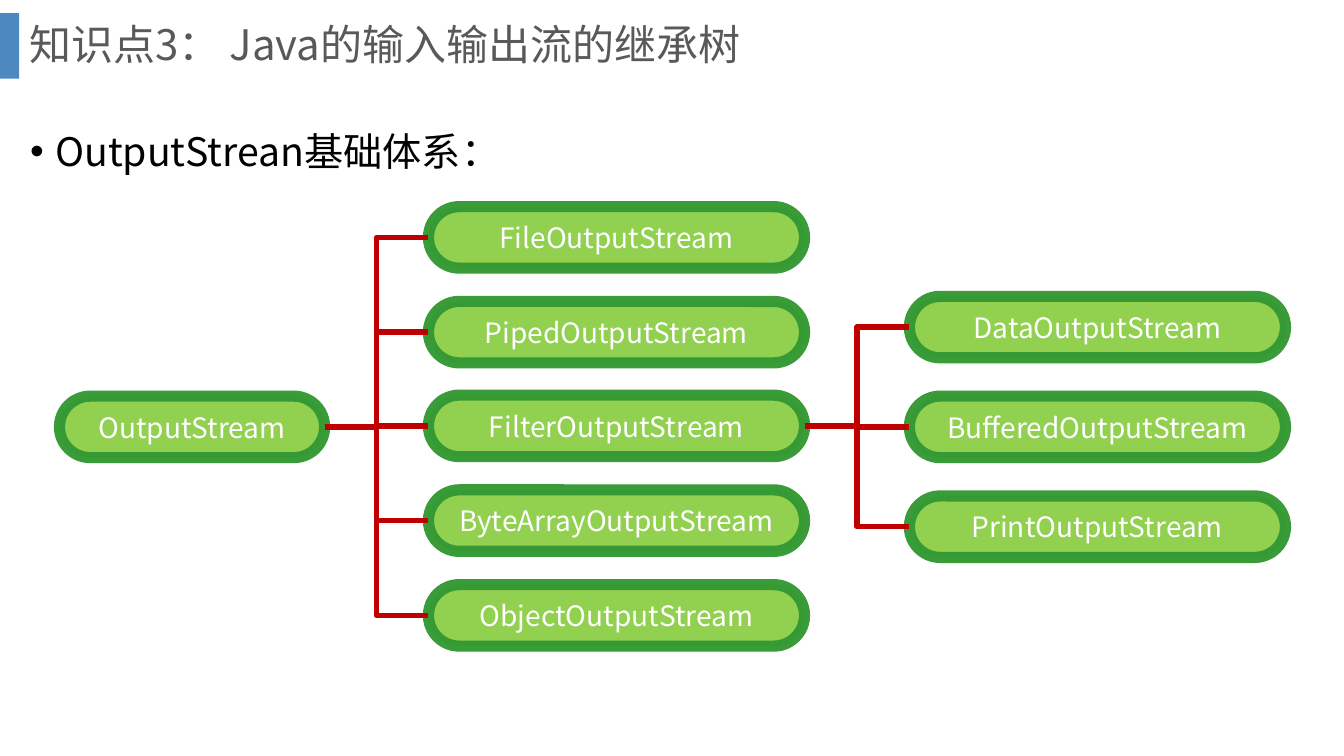
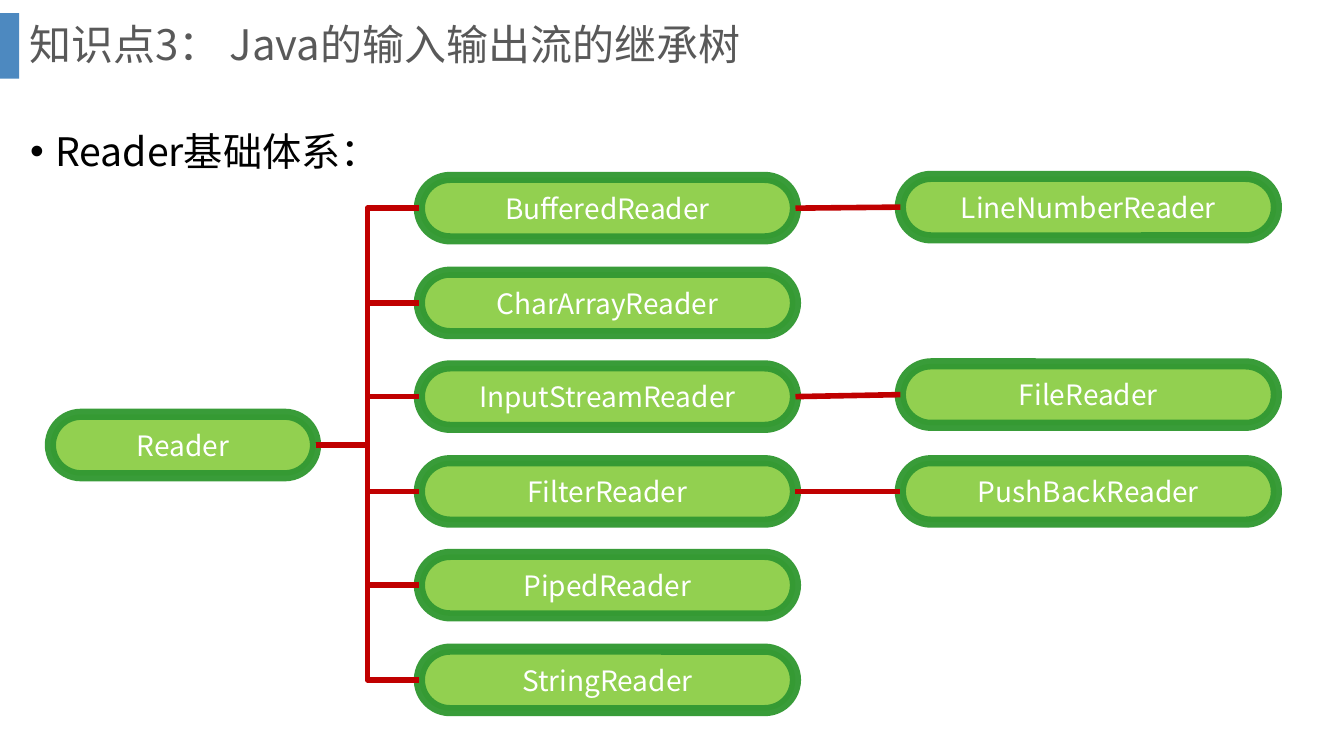
import itertools
from dataclasses import dataclass

import pptx
import pptx.dml.color
import pptx.enum.shapes
import pptx.enum.text
import pptx.oxml
import pptx.oxml.ns
import pptx.presentation
import pptx.shapes.autoshape
import pptx.shapes.connector
import pptx.slide
import pptx.text.text
import pptx.util

RGBColor = pptx.dml.color.RGBColor
ACCENT_BLUE = RGBColor(0x2E, 0x75, 0xB6)
TITLE_GREY = RGBColor(0x59, 0x59, 0x59)
BLACK = RGBColor(0x00, 0x00, 0x00)
WHITE = RGBColor(0xFF, 0xFF, 0xFF)
LIME = RGBColor(0x92, 0xD0, 0x50)
GREEN = RGBColor(0x33, 0x99, 0x33)
RED = RGBColor(0xC0, 0x00, 0x00)

FONT = "Noto Sans CJK SC"
TITLE = "知识点3： Java的输入输出流的继承树"

EMU_PER_PX = 9144  # 100 px to the inch
SLIDE_WIDTH, SLIDE_HEIGHT = 1333, 750

ROOT_LEFT, ROOT_WIDTH = 59, 263
CHILD_LEFT, GRANDCHILD_LEFT, CHILD_WIDTH = 425, 902, 373
BOX_HEIGHT = 61
RIGHT_SIDE, LEFT_SIDE = 3, 1


@dataclass(frozen=True)
class ClassBox:
    name: str
    top: int


@dataclass(frozen=True)
class Branch:
    """The direct subclasses of one class, standing in one column."""
    parent: str
    left: int
    subclasses: list[ClassBox]


@dataclass(frozen=True)
class ClassTree:
    heading: str
    root: ClassBox
    branches: list[Branch]
    shift: int = 0


def spread(first_top: int, last_top: int, *names: str) -> list[ClassBox]:
    """Stack the names at equal steps between two tops."""
    step = (last_top - first_top) / (len(names) - 1)
    return [ClassBox(name, round(first_top + i * step)) for i, name in enumerate(names)]


TREES = [
    ClassTree(
        "OutputStrean基础体系：",
        ClassBox("OutputStream", 393),
        [
            Branch("OutputStream", CHILD_LEFT, spread(
                205, 580, "FileOutputStream", "PipedOutputStream", "FilterOutputStream",
                "ByteArrayOutputStream", "ObjectOutputStream")),
            Branch("FilterOutputStream", GRANDCHILD_LEFT, spread(
                294, 492, "DataOutputStream", "BufferedOutputStream", "PrintOutputStream")),
        ],
    ),
    ClassTree(
        "Reader基础体系：",
        ClassBox("Reader", 411),
        [
            Branch("Reader", CHILD_LEFT, spread(
                176, 644, "BufferedReader", "CharArrayReader", "InputStreamReader",
                "FilterReader", "PipedReader", "StringReader")),
            Branch("BufferedReader", GRANDCHILD_LEFT, [ClassBox("LineNumberReader", 175)]),
            Branch("InputStreamReader", GRANDCHILD_LEFT, [ClassBox("FileReader", 361)]),
            Branch("FilterReader", GRANDCHILD_LEFT, [ClassBox("PushBackReader", 457)]),
        ],
        shift=-9,
    ),
]


def px(length: int) -> pptx.util.Emu:
    return pptx.util.Emu(length * EMU_PER_PX)


def set_opacity(color_parent, percent: int) -> None:
    """Set the opacity of the solid fill directly below an spPr or ln element."""
    (color,) = color_parent.xpath("./a:solidFill/a:srgbClr")
    alpha = pptx.oxml.parse_xml(f'<a:alpha {pptx.oxml.ns.nsdecls("a")} val="{percent * 1000}"/>')
    color.append(alpha)


def add_run(paragraph: pptx.text.text._Paragraph, text: str, size: int, color: RGBColor) -> None:
    run = paragraph.add_run()
    run.text = text
    run.font.size = pptx.util.Pt(size)
    run.font.name = FONT
    run.font.color.rgb = color
    east_asian = pptx.oxml.parse_xml(f'<a:ea {pptx.oxml.ns.nsdecls("a")} typeface="{FONT}"/>')
    run.font._element.append(east_asian)


def add_text_frame(slide: pptx.slide.Slide, left: int, top: int, width: int,
                   height: int) -> pptx.text.text.TextFrame:
    frame = slide.shapes.add_textbox(px(left), px(top), px(width), px(height)).text_frame
    frame.word_wrap = True
    return frame


def add_title_band(slide: pptx.slide.Slide) -> None:
    band = slide.shapes.add_shape(
        pptx.enum.shapes.MSO_SHAPE.RECTANGLE, px(0), px(13), px(19), px(65))
    band.shadow.inherit = False
    band.fill.solid()
    band.fill.fore_color.rgb = ACCENT_BLUE
    band.line.fill.background()
    set_opacity(band._element.spPr, 85)

    title = add_text_frame(slide, 19, 0, 1266, 93)
    title.vertical_anchor = pptx.enum.text.MSO_ANCHOR.MIDDLE
    title.paragraphs[0].line_spacing = 0.9
    add_run(title.paragraphs[0], TITLE, 30, TITLE_GREY)


def add_heading(slide: pptx.slide.Slide, text: str) -> None:
    heading = add_text_frame(slide, 20, 98, 1290, 596).paragraphs[0]
    heading.line_spacing = 1.5
    heading.space_before = pptx.util.Pt(10)
    properties = heading._element.get_or_add_pPr()
    properties.set("marL", str(px(25)))
    properties.set("indent", str(px(-25)))
    for bullet in ('buFont {} typeface="Arial"', 'buChar {} char="•"'):
        properties.append(pptx.oxml.parse_xml(
            f'<a:{bullet.format(pptx.oxml.ns.nsdecls("a"))}/>'))
    add_run(heading, text, 28, BLACK)


def add_class_box(slide: pptx.slide.Slide, box: ClassBox, left: int,
                  width: int) -> pptx.shapes.autoshape.Shape:
    pill = slide.shapes.add_shape(
        pptx.enum.shapes.MSO_SHAPE.ROUNDED_RECTANGLE,
        px(left), px(box.top), px(width), px(BOX_HEIGHT))
    pill.adjustments[0] = 0.5
    pill.shadow.inherit = False
    pill.fill.solid()
    pill.fill.fore_color.rgb = LIME
    pill.line.color.rgb = GREEN
    pill.line.width = pptx.util.Pt(8)
    set_opacity(pill.line._get_or_add_ln(), 96)
    pill.text_frame.vertical_anchor = pptx.enum.text.MSO_ANCHOR.MIDDLE
    label = pill.text_frame.paragraphs[0]
    label.alignment = pptx.enum.text.PP_ALIGN.CENTER
    add_run(label, box.name, 20, WHITE)
    return pill


def join(slide: pptx.slide.Slide, parent: pptx.shapes.autoshape.Shape,
         child: pptx.shapes.autoshape.Shape, kind: pptx.enum.shapes.MSO_CONNECTOR) -> None:
    link = slide.shapes.add_connector(
        kind,
        parent.left + parent.width, parent.top + parent.height // 2,
        child.left, child.top + child.height // 2)
    link.begin_connect(parent, RIGHT_SIDE)
    link.end_connect(child, LEFT_SIDE)
    link.line.color.rgb = RED
    link.line.width = pptx.util.Pt(4)
    link._element.spPr.append(
        pptx.oxml.parse_xml(f'<a:effectLst {pptx.oxml.ns.nsdecls("a")}/>'))


def add_tree(slide: pptx.slide.Slide, tree: ClassTree) -> None:
    pills = {tree.root.name: add_class_box(
        slide, tree.root, ROOT_LEFT + tree.shift, ROOT_WIDTH)}
    for branch in tree.branches:
        for box in branch.subclasses:
            pills[box.name] = add_class_box(
                slide, box, branch.left + tree.shift, CHILD_WIDTH)

    connectors = pptx.enum.shapes.MSO_CONNECTOR
    for branch in tree.branches:
        kind = connectors.ELBOW if len(branch.subclasses) > 1 else connectors.STRAIGHT
        for parent, box in itertools.product([branch.parent], branch.subclasses):
            join(slide, pills[parent], pills[box.name], kind)


def main() -> None:
    deck = pptx.Presentation()
    deck.slide_width, deck.slide_height = px(SLIDE_WIDTH), px(SLIDE_HEIGHT)
    blank = deck.slide_layouts[6]
    for tree in TREES:
        slide = deck.slides.add_slide(blank)
        add_title_band(slide)
        add_heading(slide, tree.heading)
        add_tree(slide, tree)
    deck.save("out.pptx")


if __name__ == "__main__":
    main()
